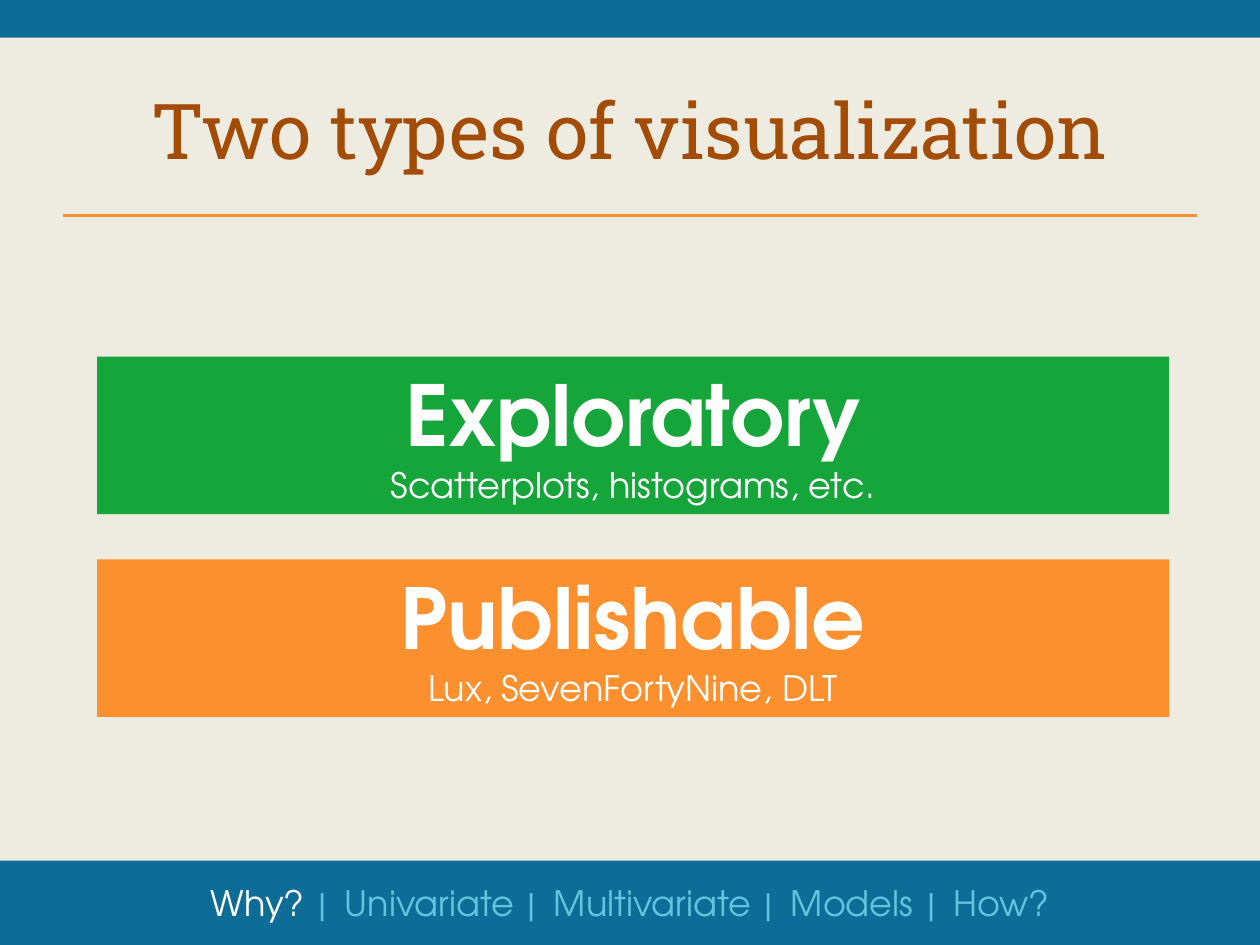
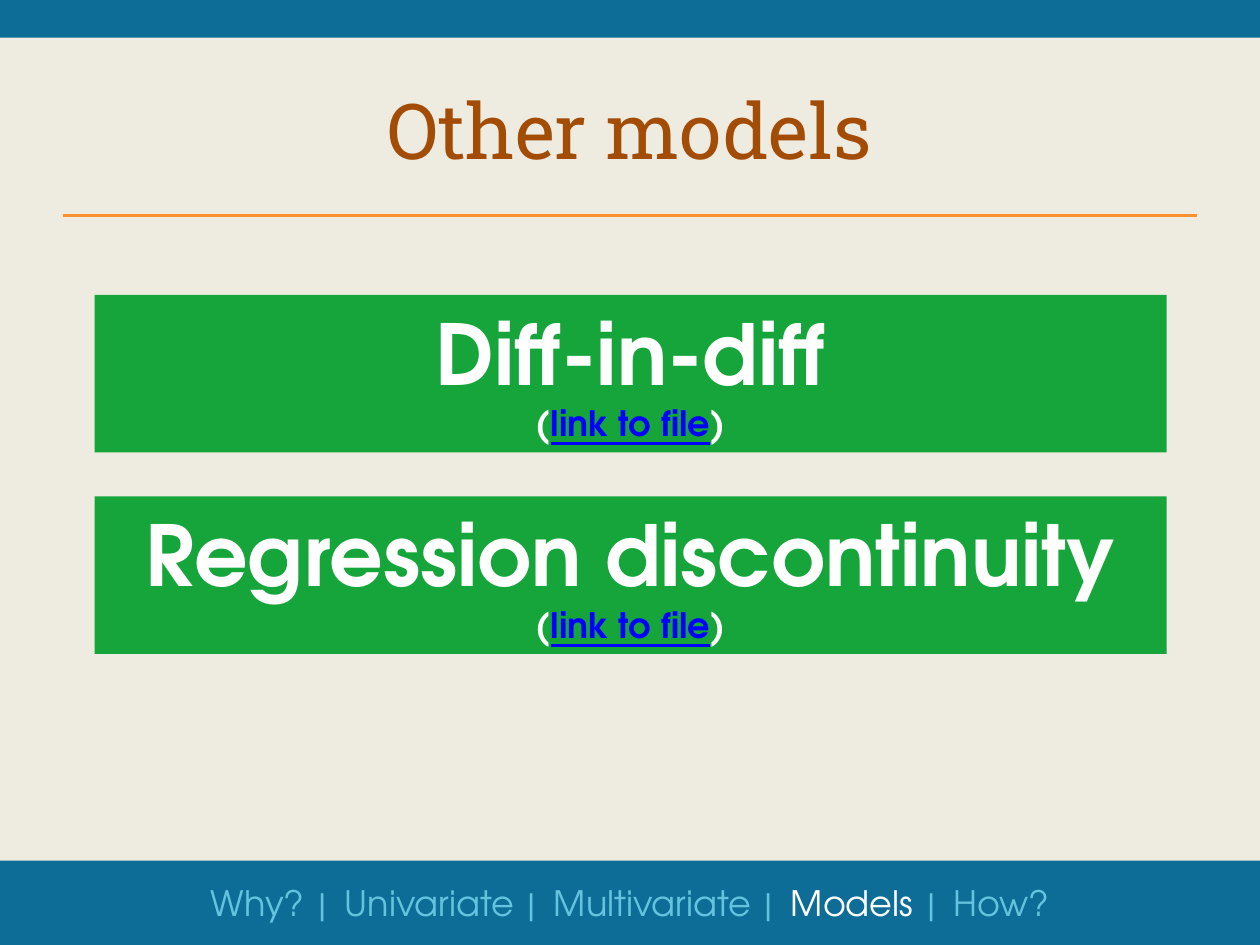
"""Build two slides on types of visualization and further models."""
from pptx import Presentation
from pptx.dml.color import RGBColor
from pptx.enum.shapes import MSO_CONNECTOR, MSO_SHAPE
from pptx.enum.text import MSO_ANCHOR, MSO_AUTO_SIZE, PP_ALIGN
from pptx.oxml.ns import qn
from pptx.util import Inches, Pt
from lxml import etree

RECTANGLE = MSO_SHAPE.RECTANGLE
STRAIGHT = MSO_CONNECTOR.STRAIGHT
TOP, MIDDLE = MSO_ANCHOR.TOP, MSO_ANCHOR.MIDDLE
GROW = MSO_AUTO_SIZE.SHAPE_TO_FIT_TEXT
CENTER = PP_ALIGN.CENTER

CREAM = RGBColor(0xEE, 0xEC, 0xE1)
BLUE = RGBColor(0x0D, 0x6D, 0x97)
PALE_BLUE = RGBColor(0x65, 0xC3, 0xDF)
LINK_BLUE = RGBColor(0x00, 0x00, 0xFF)
ORANGE = RGBColor(0xFD, 0x90, 0x2E)
RUST = RGBColor(0xA3, 0x4C, 0x05)
GREEN = RGBColor(0x15, 0xA5, 0x3B)
WHITE = RGBColor(0xFF, 0xFF, 0xFF)

TITLE_FONT, BODY_FONT = "Roboto Slab", "TeX Gyre Adventor"
WIDTH, HEIGHT = Inches(10), Inches(7.5)
COLUMNS, ROWS = 10, 7.5
MARGIN = 0.5
CARD_WIDTH, CARD_HEIGHT = 8.51, 1.25
SECTIONS = ("Why?", "Univariate", "Multivariate", "Models", "How?")


def add_text(paragraph, text, size=20, color=WHITE, font=BODY_FONT,
             bold=False, underline=False, spacing=0):
    """Append a formatted run to a centred paragraph."""
    paragraph.alignment = CENTER
    run = paragraph.add_run()
    run.text = text
    run.font.name = font
    run.font.size = Pt(size)
    run.font.bold = bold
    run.font.underline = underline
    run.font.color.rgb = color
    if spacing:
        run.font._element.set("spc", str(spacing))


class Deck:
    """Hold the shared style and the current slide."""

    def __init__(self):
        """Open a presentation with a cream background."""
        self.presentation = Presentation()
        self.presentation.slide_width = WIDTH
        self.presentation.slide_height = HEIGHT
        background = self.presentation.slide_master.background.fill
        background.solid()
        background.fore_color.rgb = CREAM
        self.slide = None

    def grid(self, left, top, width, height):
        """Turn columns and rows into slide lengths."""
        column, row = WIDTH / COLUMNS, HEIGHT / ROWS
        return (int(left * column), int(top * row),
                int(width * column), int(height * row))

    def start(self, title, section):
        """Add a slide with its bands, title, rule and navigation."""
        layout = self.presentation.slide_layouts.get_by_name("Title Only")
        self.slide = self.presentation.slides.add_slide(layout)
        self.block(0, 6.83, COLUMNS, 0.67, BLUE)
        self.block(0, 0, COLUMNS, 0.3, BLUE)
        self.rule(1.71)
        self.title(title)
        self.navigation(section)

    def block(self, left, top, width, height, color):
        """Draw a plain filled rectangle."""
        block = self.slide.shapes.add_shape(
            RECTANGLE, *self.grid(left, top, width, height))
        block.shadow.inherit = False
        block.fill.solid()
        block.fill.fore_color.rgb = color
        block.line.fill.background()
        return block

    def rule(self, top):
        """Draw the orange line between the margins."""
        left, y, width, _ = self.grid(MARGIN, top, COLUMNS - 2 * MARGIN, 0)
        rule = self.slide.shapes.add_connector(
            STRAIGHT, left, y, left + width, y)
        rule.line.color.rgb = ORANGE
        rule.line.width = Pt(2)
        etree.SubElement(rule._element.spPr, qn("a:effectLst"))

    def title(self, text):
        """Place and format the title placeholder."""
        heading = self.slide.shapes.title
        (heading.left, heading.top, heading.width,
         heading.height) = self.grid(MARGIN, 0.5, COLUMNS - 2 * MARGIN, 1.05)
        heading.text_frame.vertical_anchor = MIDDLE
        add_text(heading.text_frame.paragraphs[0], text,
                 size=44, color=RUST, font=TITLE_FONT)

    def navigation(self, current):
        """List the sections and highlight the current one."""
        footer = self.slide.shapes.add_textbox(
            *self.grid(MARGIN, 6.95, COLUMNS - 2 * MARGIN, 0.44))
        footer.text_frame.word_wrap = True
        footer.text_frame.auto_size = GROW
        line = footer.text_frame.paragraphs[0]
        for index, section in enumerate(SECTIONS):
            if index:
                add_text(line, " | ", color=PALE_BLUE, spacing=230)
            add_text(line, section,
                     color=WHITE if section == current else PALE_BLUE)

    def card(self, left, top, color, heading, details):
        """Draw a coloured card with a heading over a line of details."""
        card = self.block(left, top, CARD_WIDTH, CARD_HEIGHT, color)
        frame = card.text_frame
        frame.word_wrap = True
        frame.vertical_anchor = TOP
        frame.auto_size = GROW
        add_text(frame.paragraphs[0], heading, size=48, bold=True)
        detail_line = frame.add_paragraph()
        for text, style in details:
            add_text(detail_line, text, **style)

    def cards(self, left, top, step, entries):
        """Stack cards at an equal step."""
        for index, entry in enumerate(entries):
            self.card(left, top + index * step, *entry)


def main():
    """Build and save both slides."""
    deck = Deck()

    deck.start("Two types of visualization", "Why?")
    deck.cards(0.77, 2.83, 1.61, [
        (GREEN, "Exploratory", [("Scatterplots, histograms, etc.", {})]),
        (ORANGE, "Publishable", [("Lux, SevenFortyNine, DLT", {})]),
    ])

    deck.start("Other models", "Models")
    file_link = [
        ("(", {"bold": True}),
        ("link to file",
         {"bold": True, "color": LINK_BLUE, "underline": True}),
        (")", {"bold": True}),
    ]
    deck.cards(0.75, 2.34, 1.6, [
        (GREEN, model, file_link)
        for model in ("Diff-in-diff", "Regression discontinuity")
    ])

    deck.presentation.save("out.pptx")


if __name__ == "__main__":
    main()
